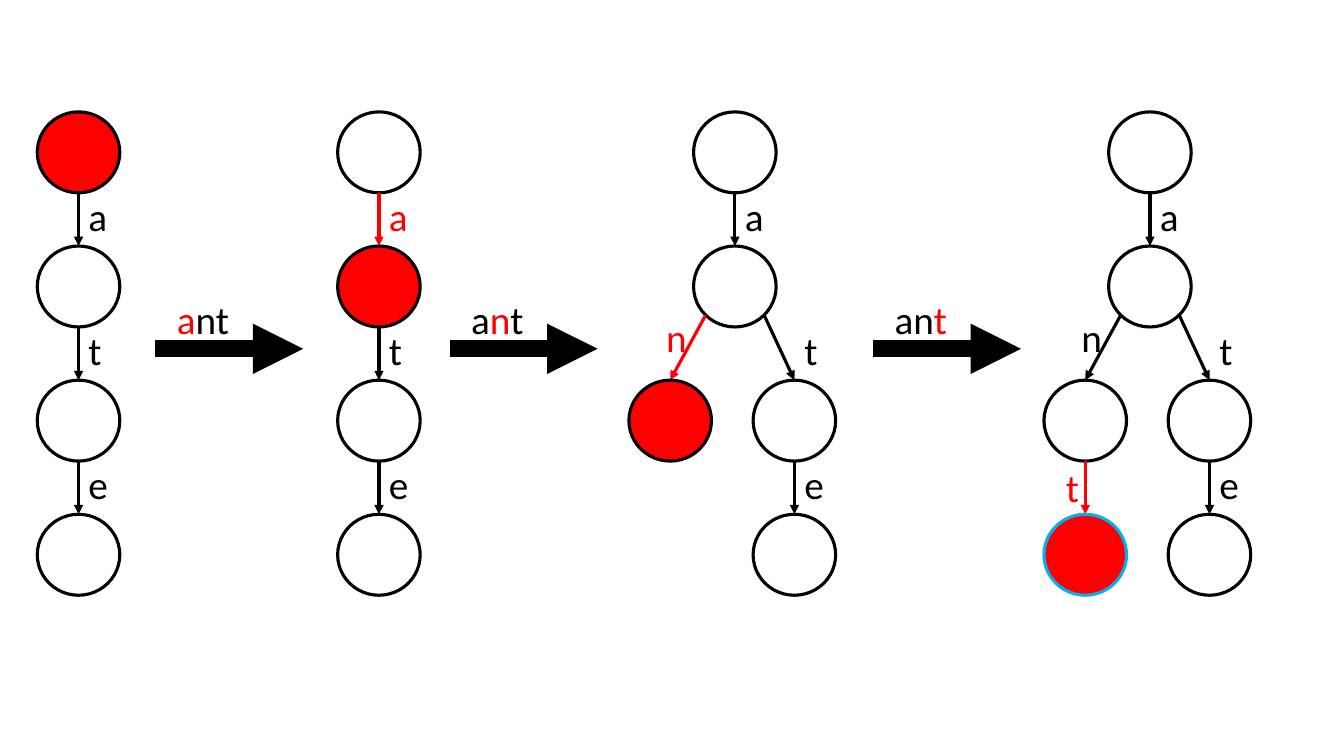
from lxml import etree
from pptx import Presentation
from pptx.dml.color import RGBColor
from pptx.enum.shapes import MSO_CONNECTOR, MSO_SHAPE
from pptx.enum.text import MSO_AUTO_SIZE, PP_ALIGN
from pptx.oxml.ns import qn
from pptx.util import Cm, Pt

COLORS = {"black": "000000", "red": "FF0000", "blue": "00B0F0"}
NODE_W, NODE_H = 2.08, 2.04
TOP, ROW_PITCH = 2.82, 3.38
LABEL_TOP, LABEL_W, LABEL_H = 4.72, 0.89, 1.45
LEFT, RIGHT = -1.63, 1.5
DIAGONAL = 0.71
WORD = "ant"

CHAIN = [(0, 0, 1, "a"), (0, 0, 2, "t"), (0, 0, 3, "e")]
FORK = [(0, 0, 1, "a"), (0, LEFT, 2, "n"), (0, RIGHT, 2, "t"), (RIGHT, RIGHT, 3, "e")]
FULL = FORK + [(LEFT, LEFT, 3, "t")]
LABEL_SHIFTS = {(LEFT, 2): (-0.35, -0.33), (LEFT, 3): (-0.74, 0.07)}

STATES = [
    (1.98, CHAIN, (0, 0), "black"),
    (9.55, CHAIN, (0, 1), "black"),
    (18.52, FORK, (LEFT, 2), "black"),
    (28.98, FULL, (LEFT, 3), "blue"),
]
WORD_ARROWS = [3.91, 11.33, 22.0]


class TrieSlide:
    """Draw trie states with one shared style on the current slide."""

    font, size, stroke = "Calibri", Pt(28), 2.25

    def __init__(self, slide):
        self.shapes = slide.shapes

    def color(self, name):
        return RGBColor.from_string(COLORS[name])

    def node(self, x, row, active, outline):
        circle = self.shapes.add_shape(
            MSO_SHAPE.OVAL, Cm(x - NODE_W / 2), Cm(TOP + row * ROW_PITCH),
            Cm(NODE_W), Cm(NODE_H))
        circle.shadow.inherit = False
        if active:
            circle.fill.solid()
            circle.fill.fore_color.rgb = self.color("red")
        else:
            circle.fill.background()
        circle.line.color.rgb = self.color(outline)
        circle.line.width = Pt(self.stroke)

    def arrow(self, x1, y1, x2, y2, color="black", width=stroke):
        line = self.shapes.add_connector(
            MSO_CONNECTOR.STRAIGHT, Cm(x1), Cm(y1), Cm(x2), Cm(y2))
        line.line.color.rgb = self.color(color)
        line.line.width = Pt(width)
        etree.SubElement(line.line._get_or_add_ln(), qn("a:tailEnd"), type="triangle")
        etree.SubElement(line._element.spPr, qn("a:effectLst"))

    def text(self, x, y, width, runs, align=PP_ALIGN.LEFT):
        frame = self.shapes.add_textbox(Cm(x), Cm(y), Cm(width), Cm(LABEL_H)).text_frame
        frame.word_wrap = True
        frame.auto_size = MSO_AUTO_SIZE.SHAPE_TO_FIT_TEXT
        paragraph = frame.paragraphs[0]
        paragraph.alignment = align
        for letters, color in runs:
            run = paragraph.add_run()
            run.text = letters
            run.font.name, run.font.size = self.font, self.size
            run.font.color.rgb = self.color(color)

    def edge(self, parent_x, child_x, row, letter, color, shift):
        start_x, start_y = parent_x, TOP + (row - 1) * ROW_PITCH + NODE_H
        if child_x != parent_x:
            side = 1 if child_x > parent_x else -1
            start_x += side * DIAGONAL * NODE_W / 2
            start_y -= (1 - DIAGONAL) * NODE_H / 2
        self.arrow(start_x, start_y, child_x, TOP + row * ROW_PITCH, color)
        dx, dy = shift
        self.text(child_x + dx, LABEL_TOP + (row - 1) * ROW_PITCH + dy,
                  LABEL_W, [(letter, color)])

    def state(self, x, edges, current, outline):
        self.node(x, 0, current == (0, 0), "black")
        for parent, child, row, letter in edges:
            active = current == (child, row)
            self.edge(x + parent, x + child, row, letter,
                      "red" if active else "black",
                      LABEL_SHIFTS.get((child, row), (0, 0)))
            self.node(x + child, row, active, outline if active else "black")

    def word_arrow(self, x, index):
        self.arrow(x, 8.79, x + 3.73, 8.79, width=12)
        parts = [(WORD[:index], "black"), (WORD[index], "red"), (WORD[index + 1:], "black")]
        self.text(x, 7.32, 2.41, [part for part in parts if part[0]], PP_ALIGN.CENTER)


presentation = Presentation()
presentation.slide_width, presentation.slide_height = Cm(33.87), Cm(19.05)
trie = TrieSlide(presentation.slides.add_slide(presentation.slide_layouts[6]))
for state in STATES:
    trie.state(*state)
for index, x in enumerate(WORD_ARROWS):
    trie.word_arrow(x, index)
presentation.save("out.pptx")
